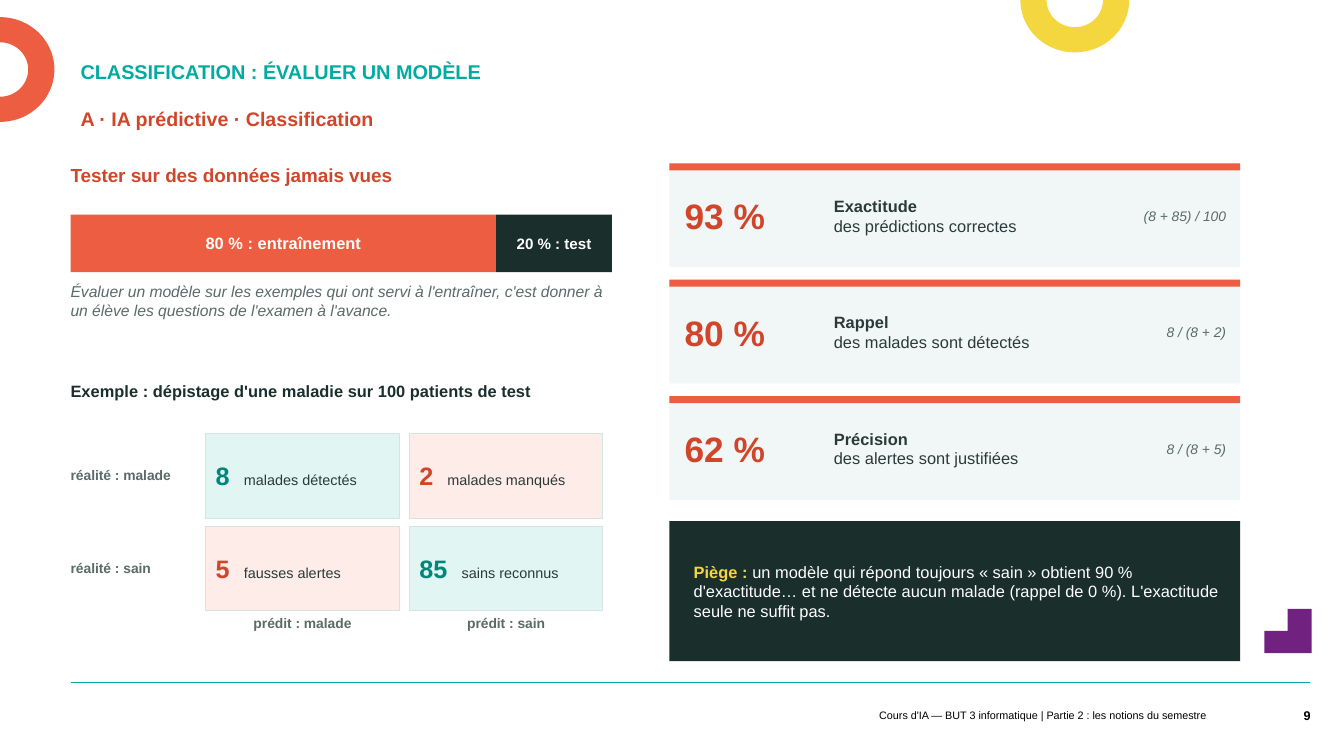
import math

from lxml import etree
from pptx import Presentation
from pptx.dml.color import RGBColor
from pptx.enum.shapes import MSO_CONNECTOR, MSO_SHAPE
from pptx.enum.text import MSO_ANCHOR, PP_ALIGN
from pptx.oxml.ns import qn
from pptx.util import Inches, Pt

RECT = MSO_SHAPE.RECTANGLE
STRAIGHT = MSO_CONNECTOR.STRAIGHT
TOP, MIDDLE, BOTTOM = MSO_ANCHOR.TOP, MSO_ANCHOR.MIDDLE, MSO_ANCHOR.BOTTOM
LEFT, CENTER, RIGHT = PP_ALIGN.LEFT, PP_ALIGN.CENTER, PP_ALIGN.RIGHT

FONT = "Arial"
COLORS = {
    "teal": "00ABA1", "orange": "ED5D42", "yellow": "F4D73F", "purple": "712180",
    "red": "D1452B", "green": "00877A", "dark": "1A2E2B", "ink": "2B3A38",
    "grey": "5A6B68", "white": "FFFFFF", "black": "000000", "card": "F0F7F6",
    "right": "E1F5F3", "wrong": "FDECE8", "border": "D5E3E1",
}
PADDED = (0.1, 0.05, 0.1, 0.05)
FLUSH = (0, 0, 0, 0)


def rgb(name):
    return RGBColor.from_string(COLORS[name])


def style_font(font, size, color, style=""):
    font.name = FONT
    font.size = Pt(size)
    font.color.rgb = rgb(color)
    font.bold = "b" in style
    font.italic = "i" in style


def write(shape, paragraphs, align=LEFT, anchor=MIDDLE, margins=FLUSH, tab=None):
    """Each paragraph is a list of runs: (text, size, color, style)."""
    frame = shape.text_frame
    frame.word_wrap = True
    frame.vertical_anchor = anchor
    (frame.margin_left, frame.margin_top,
     frame.margin_right, frame.margin_bottom) = map(Inches, margins)
    for index, runs in enumerate(paragraphs):
        paragraph = frame.add_paragraph() if index else frame.paragraphs[0]
        paragraph.alignment = align
        if tab:
            properties = paragraph._p.get_or_add_pPr()
            stops = etree.SubElement(properties, qn("a:tabLst"))
            etree.SubElement(stops, qn("a:tab"), pos=str(Inches(tab)), algn="l")
        for text, *look in runs:
            run = paragraph.add_run()
            run.text = text
            style_font(paragraph.font if len(runs) == 1 else run.font, *look)


def add_text(slide, at, text, size, color, style="", **layout):
    box = slide.shapes.add_textbox(*map(Inches, at))
    write(box, [[(text, size, color, style)]], **layout)
    return box


def paint(shape, fill, line=None):
    shape.shadow.inherit = False
    shape.fill.solid()
    shape.fill.fore_color.rgb = rgb(fill)
    if line:
        shape.line.color.rgb = rgb(line)
        shape.line.width = Pt(0.75)
    else:
        shape.line.fill.background()


def add_rect(slide, at, fill, line=None):
    rect = slide.shapes.add_shape(RECT, *map(Inches, at))
    paint(rect, fill, line)
    return rect


def add_outline(slide, points, fill):
    start, *rest = [(Inches(x), Inches(y)) for x, y in points]
    builder = slide.shapes.build_freeform(*start, scale=1.0)
    builder.add_line_segments(rest, close=True)
    paint(builder.convert_to_shape(), fill)


def add_half_ring(slide, center_x, center_y, first_angle, fill):
    def arc(radius_x, radius_y):
        angles = [math.radians(first_angle + step) for step in range(0, 181, 5)]
        return [(center_x + radius_x * math.cos(a), center_y + radius_y * math.sin(a))
                for a in angles]
    add_outline(slide, arc(0.54, 0.52) + arc(0.28, 0.27)[::-1], fill)


def add_decor(slide):
    add_half_ring(slide, 10.66, 0, 0, "yellow")
    add_half_ring(slide, 0, 0.69, -90, "orange")
    add_outline(slide, [(12.77, 6.04), (13.01, 6.04), (13.01, 6.48),
                        (12.54, 6.48), (12.54, 6.26), (12.77, 6.26)], "purple")
    rule = slide.shapes.add_connector(
        STRAIGHT, Inches(0.7), Inches(6.77), Inches(12.99), Inches(6.77))
    rule.line.color.rgb = rgb("teal")
    rule.line.width = Pt(0.5)
    etree.SubElement(rule._element.spPr, qn("a:effectLst"))


def add_split_bar(slide):
    parts = [(0.7, 4.22, "orange", "80 % : entraînement", 11.7),
             (4.92, 1.15, "dark", "20 % : test", 10.8)]
    for left, width, fill, text, size in parts:
        part = add_rect(slide, (left, 2.13, width, 0.57), fill)
        write(part, [[(text, size, "white", "b")]], align=CENTER)


def add_confusion_matrix(slide):
    left, top, width, height, step_x, step_y = 2.04, 4.3, 1.92, 0.84, 2.02, 0.92
    outcomes = [[("8", "malades détectés"), ("2", "malades manqués")],
                [("5", "fausses alertes"), ("85", "sains reconnus")]]
    for index, state in enumerate(("malade", "sain")):
        add_text(slide, (0.7, top + index * step_y, 1.29, 0.82),
                 f"réalité : {state}", 9.9, "grey", "b")
        add_text(slide, (left + index * step_x, 6.1, width, 0.31),
                 f"prédit : {state}", 9.9, "grey", "b", align=CENTER, anchor=TOP)
    for row, cells in enumerate(outcomes):
        for column, (count, label) in enumerate(cells):
            correct = row == column
            cell = add_rect(
                slide, (left + column * step_x, top + row * step_y, width, height),
                "right" if correct else "wrong", "border")
            write(cell, [[(count, 18, "green" if correct else "red", "b"),
                          ("\t" + label, 10.3, "ink")]],
                  margins=(0.1, 0, 0.05, 0), tab=0.14 * (len(count) + 1))


def add_metric_card(slide, top, value, name, meaning, formula):
    add_rect(slide, (6.64, top, 5.66, 1.03), "card")
    add_rect(slide, (6.64, top, 5.66, 0.07), "orange")
    text_top, height = top + 0.08, 0.88
    add_text(slide, (6.79, text_top, 1.44, height), value, 25.2, "red", "b")
    description = slide.shapes.add_textbox(
        *map(Inches, (8.27, text_top, 2.49, height)))
    write(description, [[(name, 11.7, "ink", "b")], [(meaning, 11.7, "ink")]])
    add_text(slide, (10.72, text_top, 1.44, height), formula, 9.9, "grey", "i",
             align=RIGHT)


def main():
    deck = Presentation()
    deck.slide_width, deck.slide_height = Inches(13.33), Inches(7.5)
    slide = deck.slides.add_slide(deck.slide_layouts[6])
    add_decor(slide)

    # Headings
    subtitle = add_text(slide, (0.7, 1.04, 9.72, 0.46),
                        "A · IA prédictive · Classification", 14, "red", "b",
                        anchor=TOP, margins=PADDED)
    subtitle.text_frame.paragraphs[0].line_spacing = 0.9
    title = add_text(slide, (0.7, 0.54, 9.72, 0.34),
                     "CLASSIFICATION : ÉVALUER UN MODÈLE", 14.2, "teal", "b",
                     anchor=BOTTOM, margins=PADDED)
    title.text_frame.paragraphs[0].line_spacing = Pt(16.7)

    # Footer
    add_text(slide, (5.43, 6.98, 6.63, 0.23),
             "Cours d'IA — BUT 3 informatique | Partie 2 : les notions du semestre",
             7.7, "black", align=RIGHT, margins=PADDED)
    add_text(slide, (12.45, 6.9, 0.55, 0.4), "9", 9, "black", "b", align=RIGHT)

    # Left: train and test split, then the screening example
    add_text(slide, (0.7, 1.62, 5.37, 0.41), "Tester sur des données jamais vues",
             13.5, "red", "b", anchor=TOP)
    add_split_bar(slide)
    add_text(slide, (0.7, 2.8, 5.37, 0.88),
             "Évaluer un modèle sur les exemples qui ont servi à l'entraîner, "
             "c'est donner à un élève les questions de l'examen à l'avance.",
             11.2, "grey", "i", anchor=TOP)
    add_text(slide, (0.7, 3.78, 5.37, 0.41),
             "Exemple : dépistage d'une maladie sur 100 patients de test",
             11.7, "dark", "b", anchor=TOP)
    add_confusion_matrix(slide)

    # Right: metrics and warning
    metrics = [("93 %", "Exactitude", "des prédictions correctes", "(8 + 85) / 100"),
               ("80 %", "Rappel", "des malades sont détectés", "8 / (8 + 2)"),
               ("62 %", "Précision", "des alertes sont justifiées", "8 / (8 + 5)")]
    for index, metric in enumerate(metrics):
        add_metric_card(slide, 1.62 + index * 1.155, *metric)
    warning = add_rect(slide, (6.64, 5.17, 5.66, 1.39), "dark")
    write(warning, [[
        ("Piège : ", 11.7, "yellow", "b"),
        ("un modèle qui répond toujours « sain » obtient 90 % d'exactitude… "
         "et ne détecte aucun malade (rappel de 0 %). "
         "L'exactitude seule ne suffit pas.", 11.7, "white")]],
        margins=(0.24, 0.05, 0.2, 0.05))

    deck.save("out.pptx")


if __name__ == "__main__":
    main()
